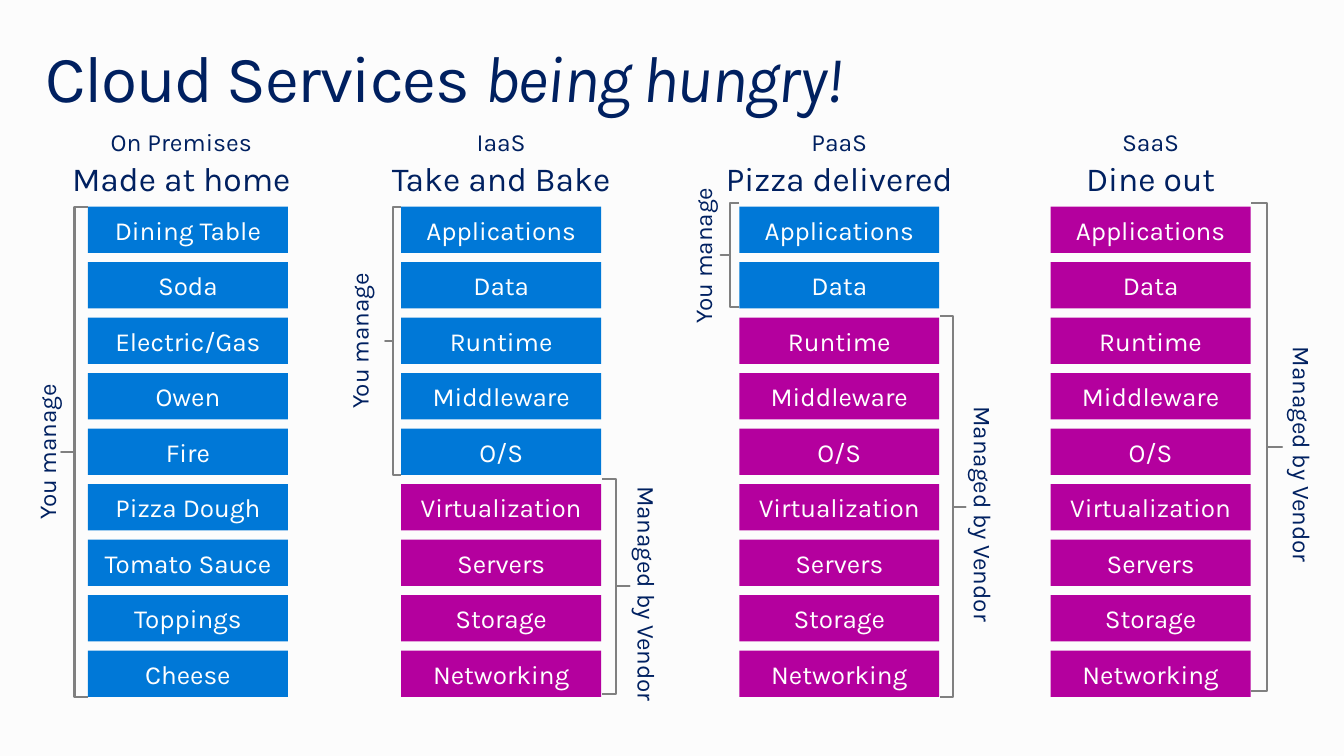
from pptx import Presentation
from pptx.dml.color import RGBColor
from pptx.enum.shapes import MSO_SHAPE
from pptx.enum.text import MSO_ANCHOR, PP_ALIGN
from pptx.util import Cm, Pt

COLORS = {
    "background": "FCFCFC",
    "navy": "002060",
    "you": "0078D7",
    "vendor": "B4009E",
    "brace": "808080",
    "white": "FFFFFF",
}
FORMATS = {
    "title": {"name": "Karla", "size": Pt(48), "bold": False},
    "service": {"name": "Karla", "size": Pt(18)},
    "meal": {"name": "Karla", "size": Pt(24.5)},
    "layer": {"name": "Karla", "size": Pt(19)},
    "manager": {"name": "Karla", "size": Pt(17.7)},
}
MANAGERS = {
    "you": ("You manage", "vert270", 3.38),
    "vendor": ("Managed by Vendor", "eaVert", 5.41),
}
LAYER_WIDTH, LAYER_HEIGHT = 5.14, 1.19
STACK_TOP, STACK_HEIGHT = 5.31, 12.6
HEADING_WIDTH, HEADING_HEIGHT = 6.6, 2.01
HEADING_RISE = 2.06
LABEL_WIDTH = 1.27

MEAL_LAYERS = [
    "Dining Table", "Soda", "Electric/Gas", "Owen", "Fire",
    "Pizza Dough", "Tomato Sauce", "Toppings", "Cheese",
]
CLOUD_LAYERS = [
    "Applications", "Data", "Runtime", "Middleware", "O/S",
    "Virtualization", "Servers", "Storage", "Networking",
]
# Braces: manager, top, width and height, then label left, from the stack corner.
COLUMNS = [
    {"left": 2.26, "heading_shift": -0.17, "service": "On Premises",
     "meal": "Made at home", "layers": MEAL_LAYERS, "yours": 9,
     "braces": [("you", 0, 0.69, 12.6, -1.7)]},
    {"left": 10.31, "heading_shift": 0, "service": "IaaS",
     "meal": "Take and Bake", "layers": CLOUD_LAYERS, "yours": 5,
     "braces": [("you", 0, 0.41, 6.91, -1.72),
                ("vendor", 6.99, 0.71, 5.54, 5.69)]},
    {"left": 19, "heading_shift": 0, "service": "PaaS",
     "meal": "Pizza delivered", "layers": CLOUD_LAYERS, "yours": 2,
     "braces": [("you", -0.08, 0.48, 2.67, -1.58),
                ("vendor", 2.82, 0.66, 9.78, 5.64)]},
    {"left": 27, "heading_shift": 0, "service": "SaaS",
     "meal": "Dine out", "layers": CLOUD_LAYERS, "yours": 0,
     "braces": [("vendor", -0.08, 0.79, 12.52, 5.84)]},
]


def color(name):
    return RGBColor.from_string(COLORS[name])


def apply_values(target, values):
    for name, value in values.items():
        setattr(target, name, value)


def prepare_frame(frame, anchor, wrap=True, side=0, edge=0):
    apply_values(frame, {
        "word_wrap": wrap, "vertical_anchor": anchor,
        "margin_left": Cm(side), "margin_right": Cm(side),
        "margin_top": Cm(edge), "margin_bottom": Cm(edge),
    })


def add_span(para, text, style, ink="navy"):
    span = para.add_run()
    span.text = text
    apply_values(span.font, FORMATS[style])
    span.font.color.rgb = color(ink)
    return span


def add_title(page, left, top, width, height):
    box = page.shapes.title
    apply_values(box, {"left": Cm(left), "top": Cm(top),
                       "width": Cm(width), "height": Cm(height)})
    prepare_frame(box.text_frame, MSO_ANCHOR.MIDDLE, side=0.41, edge=0.25)
    para = box.text_frame.paragraphs[0]
    apply_values(para, {"alignment": PP_ALIGN.LEFT, "line_spacing": 0.9})
    for text, italic in (("Cloud Services ", False), ("being hungry!", True)):
        span = add_span(para, text, "title")
        span.font.italic = italic
        span.font._element.set("spc", "-100")


def add_heading(page, left, top, service, meal):
    box = page.shapes.add_textbox(Cm(left), Cm(top), Cm(HEADING_WIDTH), Cm(HEADING_HEIGHT))
    frame = box.text_frame
    prepare_frame(frame, MSO_ANCHOR.TOP)
    for para, text, style in (
        (frame.paragraphs[0], service, "service"),
        (frame.add_paragraph(), meal, "meal"),
    ):
        para.alignment = PP_ALIGN.CENTER
        add_span(para, text, style)
    frame.paragraphs[1].space_before = Pt(1.5)


def add_layers(page, left, top, layers, yours):
    pitch = (STACK_HEIGHT - LAYER_HEIGHT) / (len(layers) - 1)
    for row, text in enumerate(layers):
        box = page.shapes.add_shape(
            MSO_SHAPE.RECTANGLE, Cm(left), Cm(top + row * pitch),
            Cm(LAYER_WIDTH), Cm(LAYER_HEIGHT))
        box.shadow.inherit = False
        box.fill.solid()
        box.fill.fore_color.rgb = color("you" if row < yours else "vendor")
        box.line.fill.background()
        prepare_frame(box.text_frame, MSO_ANCHOR.MIDDLE, edge=0.13)
        para = box.text_frame.paragraphs[0]
        para.alignment = PP_ALIGN.CENTER
        add_span(para, text, "layer", "white")


def add_brace(page, left, top, manager, width, height, label_left):
    text, direction, length = MANAGERS[manager]
    brace_left = left - width if manager == "you" else left + LAYER_WIDTH + 0.02
    brace = page.shapes.add_shape(
        MSO_SHAPE.LEFT_BRACE, Cm(brace_left), Cm(top), Cm(width), Cm(height))
    brace.shadow.inherit = False
    brace.fill.background()
    brace.line.color.rgb = color("brace")
    brace.line.width = Pt(1.5)
    brace.adjustments[0] = 0
    brace.adjustments[1] = 0.5
    if manager == "vendor":
        brace._element.spPr.xfrm.set("flipH", "1")

    label = page.shapes.add_textbox(
        Cm(left + label_left), Cm(top + (height - length) / 2),
        Cm(LABEL_WIDTH), Cm(length))
    frame = label.text_frame
    prepare_frame(frame, MSO_ANCHOR.MIDDLE, wrap=False, side=0.25, edge=0.13)
    frame._txBody.bodyPr.set("vert", direction)
    para = frame.paragraphs[0]
    para.alignment = PP_ALIGN.CENTER
    add_span(para, text, "manager")


def add_column(page, column, top):
    left = column["left"]
    heading_left = left + (LAYER_WIDTH - HEADING_WIDTH) / 2 + column["heading_shift"]
    add_heading(page, heading_left, top - HEADING_RISE, column["service"], column["meal"])
    add_layers(page, left, top, column["layers"], column["yours"])
    for manager, offset, width, height, label_left in column["braces"]:
        add_brace(page, left, top + offset, manager, width, height, label_left)


def main():
    deck = Presentation()
    apply_values(deck, {"slide_width": Cm(34.54), "slide_height": Cm(19.43)})
    page = deck.slides.add_slide(deck.slide_layouts[5])
    page.background.fill.solid()
    page.background.fill.fore_color.rgb = color("background")
    add_title(page, 0.76, 0.81, 33.02, 2.54)
    for column in COLUMNS:
        add_column(page, column, STACK_TOP)
    deck.save("out.pptx")


if __name__ == "__main__":
    main()
